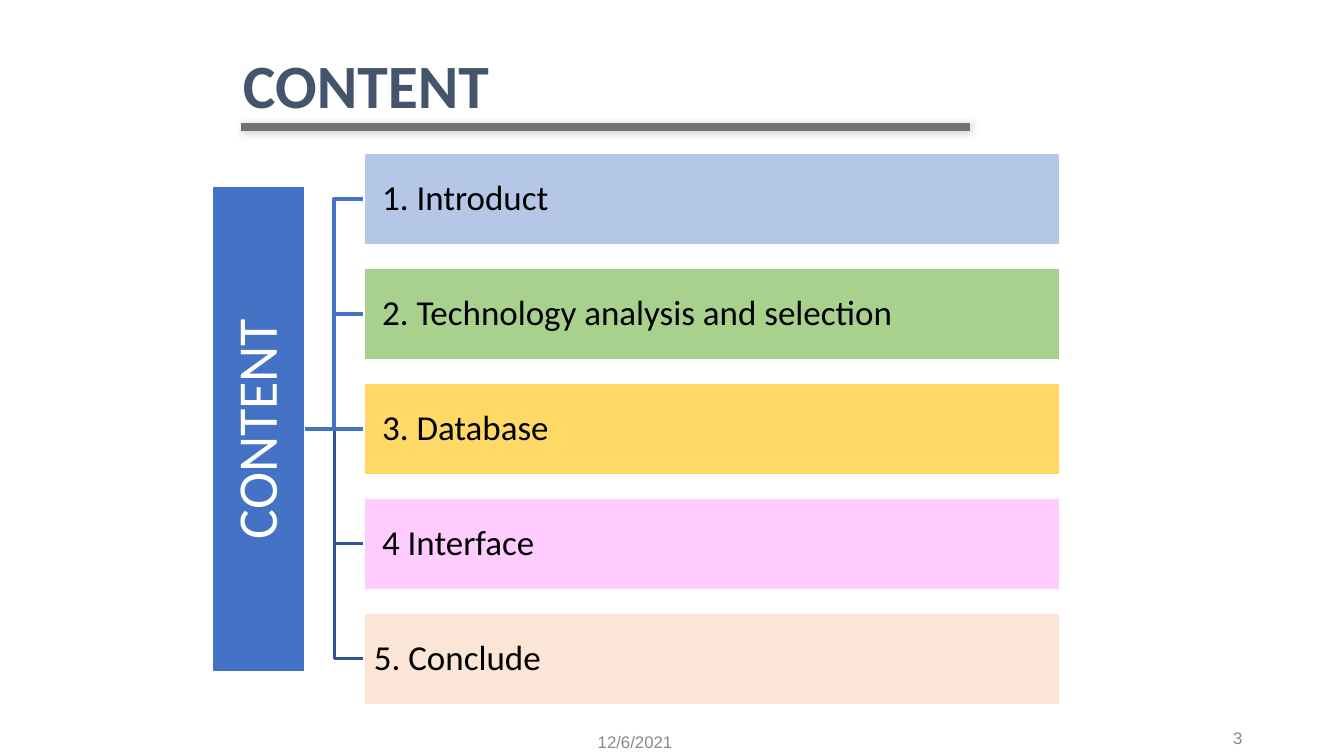
from lxml import etree
from pptx import Presentation
from pptx.dml.color import RGBColor
from pptx.enum.shapes import MSO_CONNECTOR, MSO_SHAPE
from pptx.enum.text import MSO_ANCHOR, PP_ALIGN
from pptx.oxml.ns import qn
from pptx.util import Inches, Pt

RECTANGLE = MSO_SHAPE.RECTANGLE
STRAIGHT = MSO_CONNECTOR.STRAIGHT
MIDDLE = MSO_ANCHOR.MIDDLE
LEFT, CENTER, RIGHT = PP_ALIGN.LEFT, PP_ALIGN.CENTER, PP_ALIGN.RIGHT

# Content
HEADING = "CONTENT"
SIDEBAR = "CONTENT"
DATE = "12/6/2021"
PAGE = "3"
# label, fill, left inset, (branch colour, branch width)
UPPER, LOWER = ("4472C4", 3), ("2F5597", 2.25)
SECTIONS = [
    ("1. Introduct", "B4C7E7", 0.18, UPPER),
    ("2. Technology analysis and selection", "A9D18E", 0.18, UPPER),
    ("3. Database", "FFD966", 0.18, UPPER),
    ("4 Interface", "FFCCFF", 0.18, LOWER),
    ("5. Conclude", "FBE5D6", 0.10, LOWER),
]

THEME = {
    "title": "44546A", "accent": "4472C4", "white": "FFFFFF",
    "black": "000000", "rule": "767171", "muted": "898989",
    "body_font": "Calibri", "footer_font": "Arial",
    "title_size": 44, "sidebar_size": 40, "section_size": 25, "footer_size": 12,
}

# Layout in inches
BAR_LEFT, BAR_TOP, BAR_W, BAR_H = 2.11, 1.85, 0.91, 4.81
BOX_LEFT, BOX_TOP, BOX_W, BOX_H, PITCH = 3.61, 1.52, 6.9, 0.91, 1.14
BAR_RIGHT = BAR_LEFT + BAR_W
TRUNK_X = (BAR_RIGHT + BOX_LEFT) / 2
HUB = len(SECTIONS) // 2


def box_top(index):
    return BOX_TOP + index * PITCH


def branch_y(index):
    return box_top(index) + BOX_H / 2


def color(value):
    return RGBColor.from_string(value)


def write(shape, text, size, ink, font=THEME["body_font"], bold=False,
          align=LEFT, spacing=None, insets=None):
    frame = shape.text_frame
    frame.word_wrap = True
    frame.vertical_anchor = MIDDLE
    if insets:
        (frame.margin_left, frame.margin_top,
         frame.margin_right, frame.margin_bottom) = map(Inches, insets)
    paragraph = frame.paragraphs[0]
    paragraph.alignment = align
    paragraph.line_spacing = spacing
    run = paragraph.add_run()
    run.text = text
    run.font.name = font
    run.font.size = Pt(size)
    run.font.bold = bold
    run.font.color.rgb = color(ink)


def stroke(shape, ink, width):
    shape.line.color.rgb = color(ink)
    shape.line.width = Pt(width)


def add_panel(shapes, left, top, width, height, fill):
    panel = shapes.add_shape(RECTANGLE, *map(Inches, (left, top, width, height)))
    panel.shadow.inherit = False
    panel.fill.solid()
    panel.fill.fore_color.rgb = color(fill)
    stroke(panel, THEME["white"], 1)
    return panel


def add_straight(shapes, x1, x2, y, ink, width):
    """Draw a horizontal line; return it with its empty effect list."""
    line = shapes.add_connector(STRAIGHT, *map(Inches, (x1, y, x2, y)))
    stroke(line, ink, width)
    effects = etree.SubElement(line._element.spPr, qn("a:effectLst"))
    return line, effects


def add_branch(shapes, index, ink, width):
    hub_y, end_y = branch_y(HUB), branch_y(index)
    points = [(TRUNK_X, hub_y), (TRUNK_X, end_y), (BOX_LEFT, end_y)]
    builder = shapes.build_freeform(Inches(BAR_RIGHT), Inches(hub_y))
    builder.add_line_segments([(Inches(x), Inches(y)) for x, y in points], close=False)
    branch = builder.convert_to_shape()
    branch.shadow.inherit = False
    branch.fill.background()
    stroke(branch, ink, width)


def build():
    deck = Presentation()
    deck.slide_width, deck.slide_height = Inches(13.33), Inches(7.5)
    slide = deck.slides.add_slide(deck.slide_layouts[5])
    shapes = slide.shapes

    # Title
    title = shapes.title
    title.left, title.top, title.width, title.height = map(
        Inches, (2.31, 0.35, 10.43, 1.06))
    write(title, HEADING, THEME["title_size"], THEME["title"], bold=True, spacing=0.9)

    # Branches, lowest first
    for index in reversed(range(len(SECTIONS))):
        ink, width = SECTIONS[index][3]
        if index == HUB:
            hub_line, _ = add_straight(
                shapes, BAR_RIGHT, BOX_LEFT, branch_y(HUB), ink, width)
        else:
            add_branch(shapes, index, ink, width)

    # Sidebar with text reading upwards
    sidebar = add_panel(shapes, BAR_LEFT, BAR_TOP, BAR_W, BAR_H, THEME["accent"])
    write(sidebar, SIDEBAR, THEME["sidebar_size"], THEME["white"],
          align=CENTER, spacing=0.9, insets=(0.03,) * 4)
    sidebar.text_frame._txBody.bodyPr.set("vert", "vert270")
    hub_line.begin_connect(sidebar, 3)

    # Section boxes
    for index, (label, fill, indent, _) in enumerate(SECTIONS):
        box = add_panel(shapes, BOX_LEFT, box_top(index), BOX_W, BOX_H, fill)
        write(box, label, THEME["section_size"], THEME["black"],
              spacing=0.9, insets=(indent, 0.02, 0.02, 0.02))
        if index == HUB:
            hub_line.end_connect(box, 1)

    # Date and page number
    for text, area, align in ((DATE, (5.83, 7.17, 1.67, 0.38), LEFT),
                              (PAGE, (9.42, 7.14, 3, 0.36), RIGHT)):
        footer = shapes.add_textbox(*map(Inches, area))
        write(footer, text, THEME["footer_size"], THEME["muted"],
              font=THEME["footer_font"], align=align)

    # Title rule with a soft shadow
    _, effects = add_straight(shapes, 2.39, 9.62, 1.26, THEME["rule"], 6)
    shadow = etree.SubElement(
        effects, qn("a:outerShdw"), blurRad=str(Pt(6)), dist=str(Pt(1)),
        dir=str(45 * 60000), rotWithShape="0")
    tint = etree.SubElement(shadow, qn("a:srgbClr"), val=THEME["black"])
    etree.SubElement(tint, qn("a:alpha"), val="20000")

    deck.save("out.pptx")


if __name__ == "__main__":
    build()
